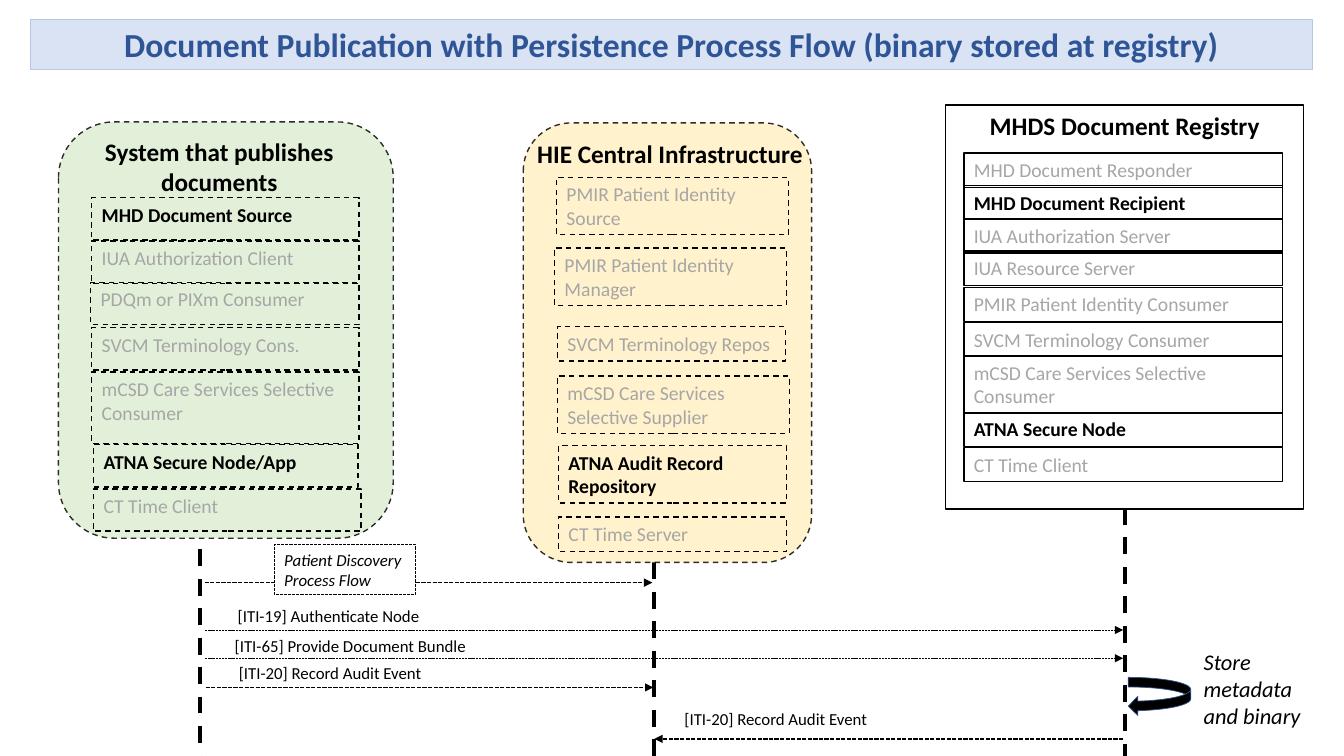
from dataclasses import dataclass
from lxml.etree import SubElement
from pptx import Presentation
from pptx.dml.color import RGBColor
from pptx.enum.shapes import MSO_CONNECTOR, MSO_SHAPE
from pptx.enum.text import MSO_ANCHOR, MSO_AUTO_SIZE, PP_ALIGN
from pptx.oxml.ns import qn
from pptx.util import Inches, Pt

GRID = Inches(0.1)


@dataclass(frozen=True)
class Theme:
    """Colours, font and type sizes of the slide."""
    font: str = "Calibri"
    ink: str = "000000"
    muted: str = "A6A6A6"
    white: str = "FFFFFF"
    green: str = "E2F0D9"
    yellow: str = "FFF2CC"
    banner: str = "DAE3F3"
    banner_line: str = "B4C7E7"
    banner_text: str = "2F5597"
    loop_line: str = "325491"
    title: int = 24
    heading: int = 18
    note: int = 16
    row: int = 14
    message: int = 12


@dataclass(frozen=True)
class Box:
    """A rectangle in grid columns and rows."""
    left: float
    top: float
    width: float
    height: float

    def inner(self, left, top, width, height):
        """Return a box placed relative to this one."""
        return Box(self.left + left, self.top + top, width, height)

    def lengths(self):
        """Return left, top, width and height as slide lengths."""
        return [round(n * GRID) for n in (self.left, self.top, self.width, self.height)]


THEME = Theme()


def style_line(shape, width, color=THEME.ink, dash=None, alpha=None, arrow=False):
    """Set the outline of a shape or connector."""
    shape.line.width = Pt(width)
    shape.line.color.rgb = RGBColor.from_string(color)
    outline = shape.element.spPr.find(qn("a:ln"))
    if alpha:
        SubElement(outline.find(".//" + qn("a:srgbClr")), qn("a:alpha"), val=str(alpha * 1000))
    if dash:
        SubElement(outline, qn("a:prstDash"), val=dash)
    if arrow:
        SubElement(outline, qn("a:tailEnd"), type="triangle")


def write(shape, lines, size, color=THEME.ink, bold=False, italic=False,
          align=PP_ALIGN.LEFT, wrap=True):
    """Write one paragraph per line into a shape."""
    frame = shape.text_frame
    frame.word_wrap = wrap
    frame.auto_size = MSO_AUTO_SIZE.NONE
    frame.vertical_anchor = MSO_ANCHOR.TOP
    for index, line in enumerate(lines):
        para = frame.add_paragraph() if index else frame.paragraphs[0]
        para.alignment = align
        span = para.add_run()
        span.text = line
        span.font.name, span.font.size = THEME.font, Pt(size)
        span.font.bold, span.font.italic = bold, italic
        span.font.color.rgb = RGBColor.from_string(color)


def add_panel(page, box, kind=MSO_SHAPE.RECTANGLE, fill=None, **outline):
    """Add a preset shape with a plain fill and outline."""
    shape = page.shapes.add_shape(kind, *box.lengths())
    shape.shadow.inherit = False
    if fill:
        shape.fill.solid()
        shape.fill.fore_color.rgb = RGBColor.from_string(fill)
    else:
        shape.fill.background()
    style_line(shape, **outline)
    return shape


def add_text(page, box, text, size, **style):
    """Add a text box holding one paragraph."""
    write(page.shapes.add_textbox(*box.lengths()), [text], size, **style)


def add_line(page, start, end, width, dash, arrow=False):
    """Add a straight connector between two grid points."""
    points = [round(n * GRID) for n in (*start, *end)]
    line = page.shapes.add_connector(MSO_CONNECTOR.STRAIGHT, *points)
    style_line(line, width, dash=dash, arrow=arrow)
    SubElement(line.element.spPr, qn("a:effectLst"))


def add_banner(page, box):
    """Format the title placeholder as a banner."""
    title = page.shapes.title
    title.left, title.top, title.width, title.height = box.lengths()
    title.fill.solid()
    title.fill.fore_color.rgb = RGBColor.from_string(THEME.banner)
    style_line(title, 0.75, THEME.banner_line)
    write(title, ["Document Publication with Persistence Process Flow (binary stored at registry)"],
          THEME.title, THEME.banner_text, bold=True, align=PP_ALIGN.CENTER)
    title.text_frame.paragraphs[0].line_spacing = 1.0


def add_rows(page, box, rows, active, dash=None):
    """Add the role rows of an actor, with active roles in bold."""
    for label, *place in rows:
        row = add_panel(page, box.inner(*place), width=1, dash=dash)
        bold = label in active
        write(row, [label], THEME.row, THEME.ink if bold else THEME.muted, bold=bold)


def add_publisher(page, box):
    """Add the publishing system with its roles."""
    add_panel(page, box, MSO_SHAPE.ROUNDED_RECTANGLE, THEME.green, width=1, dash="dash", alpha=81)
    add_text(page, box.inner(-1.8, 0.9, 35.5, 8.2), "System that publishes documents",
             THEME.heading, bold=True, align=PP_ALIGN.CENTER)
    rows = [
        ("MHD Document Source", 3.3, 7.5, 26.5, 4.2),
        ("IUA Authorization Client", 3.3, 11.8, 26.5, 4.2),
        ("PDQm or PIXm Consumer", 3.2, 15.9, 26.6, 4.2),
        ("SVCM Terminology Cons.", 3.3, 20.4, 26.5, 4.2),
        ("mCSD Care Services Selective Consumer", 3.3, 24.8, 26.5, 7.1),
        ("ATNA Secure Node/App", 3.5, 32, 26.2, 4.2),
        ("CT Time Client", 3.5, 36.4, 26.5, 4.2),
    ]
    add_rows(page, box, rows, {"MHD Document Source", "ATNA Secure Node/App"}, "dash")


def add_infrastructure(page, box):
    """Add the central infrastructure with its roles."""
    add_panel(page, box, MSO_SHAPE.ROUNDED_RECTANGLE, THEME.yellow, width=1, dash="dash", alpha=81)
    add_text(page, box.inner(0.4, 1, 28.6, 4), "HIE Central Infrastructure",
             THEME.heading, bold=True, wrap=False)
    rows = [
        ("PMIR Patient Identity Source", 3.3, 5.4, 23, 5.7),
        ("PMIR Patient Identity Manager", 3.1, 12.4, 23, 5.7),
        ("SVCM Terminology Repos", 3.4, 20.2, 22.6, 3.4),
        ("mCSD Care Services Selective Supplier", 3.4, 25.1, 23, 5.7),
        ("ATNA Audit Record Repository", 3.5, 32, 22.6, 5.7),
        ("CT Time Server", 3.5, 39.1, 22.6, 3.4),
    ]
    add_rows(page, box, rows, {"ATNA Audit Record Repository"}, "dash")


def add_registry(page, box):
    """Add the document registry with its roles."""
    panel = add_panel(page, box, width=1)
    write(panel, ["MHDS Document Registry"], THEME.heading, bold=True, align=PP_ALIGN.CENTER)
    stack = [
        ("MHD Document Responder", 4.8, 3.4),
        ("MHD Document Recipient", 8, 3.4),
        ("IUA Authorization Server", 11.3, 3.4),
        ("IUA Resource Server", 14.5, 3.4),
        ("PMIR Patient Identity Consumer", 18.1, 3.4),
        ("SVCM Terminology Consumer", 21.6, 3.4),
        ("mCSD Care Services Selective Consumer", 24.9, 5.7),
        ("ATNA Secure Node", 30.5, 3.4),
        ("CT Time Client", 34, 3.4),
    ]
    rows = [(label, 1.8, top, 31.6, height) for label, top, height in stack]
    add_rows(page, box, rows, {"MHD Document Recipient", "ATNA Secure Node"})


def add_lifelines(page, box):
    """Add the lifelines that run down to the foot of the box."""
    foot = box.top + box.height
    for column, top in ((0, -14), (45.1, 1.9), (91.8, -3.5)):
        x = box.left + column
        add_line(page, (x, box.top + top), (x, foot), 3, "dash")


def add_messages(page, box):
    """Add the message arrows, their labels and the storage loop."""
    messages = [
        ("[ITI-19] Authenticate Node", 2.8, 5.7, 0.5, 91.6, 8.6, 0.5),
        ("[ITI-65] Provide Document Bundle", 2.5, 8.7, 0.5, 91.6, 11.4, 0.5),
        ("[ITI-20] Record Audit Event", 2.9, 11.4, 0.6, 45, 14.3, 1),
        ("[ITI-20] Record Audit Event", 47.1, 15.9, 91.6, 45.1, 19.4, 1),
    ]
    for label, left, top, start, end, row, width in messages:
        y = box.top + row
        add_line(page, (box.left + start, y), (box.left + end, y), width, "sysDash", True)
        add_text(page, box.inner(left, top, 28.6, 3), label, THEME.message)
    y = box.top + 3.9
    add_line(page, (box.left + 0.5, y), (box.left + 44.9, y), 1, "sysDash", True)
    discovery = add_panel(page, box.inner(7.4, 0.1, 14, 5), fill=THEME.white,
                          width=0.75, dash="sysDash")
    write(discovery, ["Patient Discovery ", "Process Flow"], THEME.message, italic=True)
    loop = add_panel(page, box.inner(92.1, 13.3, 6.2, 3.8), MSO_SHAPE.CURVED_RIGHT_ARROW,
                     THEME.ink, width=0.5, color=THEME.loop_line)
    loop.element.spPr.find(qn("a:xfrm")).set("flipH", "1")
    add_text(page, box.inner(98.6, 9.9, 14.4, 9.1), "Store metadata and binary",
             THEME.note, italic=True)


def build():
    """Build and save the deck."""
    deck = Presentation()
    deck.slide_width, deck.slide_height = Inches(13.33), Inches(7.5)
    page = deck.slides.add_slide(deck.slide_layouts[5])
    flow = Box(19.8, 53.9, 113, 21.1)
    add_banner(page, Box(3, 1.9, 127.2, 5))
    add_lifelines(page, flow)
    add_publisher(page, Box(5.8, 12.1, 33.2, 41.3))
    add_infrastructure(page, Box(51.9, 12.2, 28.6, 43.6))
    add_registry(page, Box(93.8, 10.4, 35.5, 40.1))
    add_messages(page, flow)
    deck.save("out.pptx")


build()
